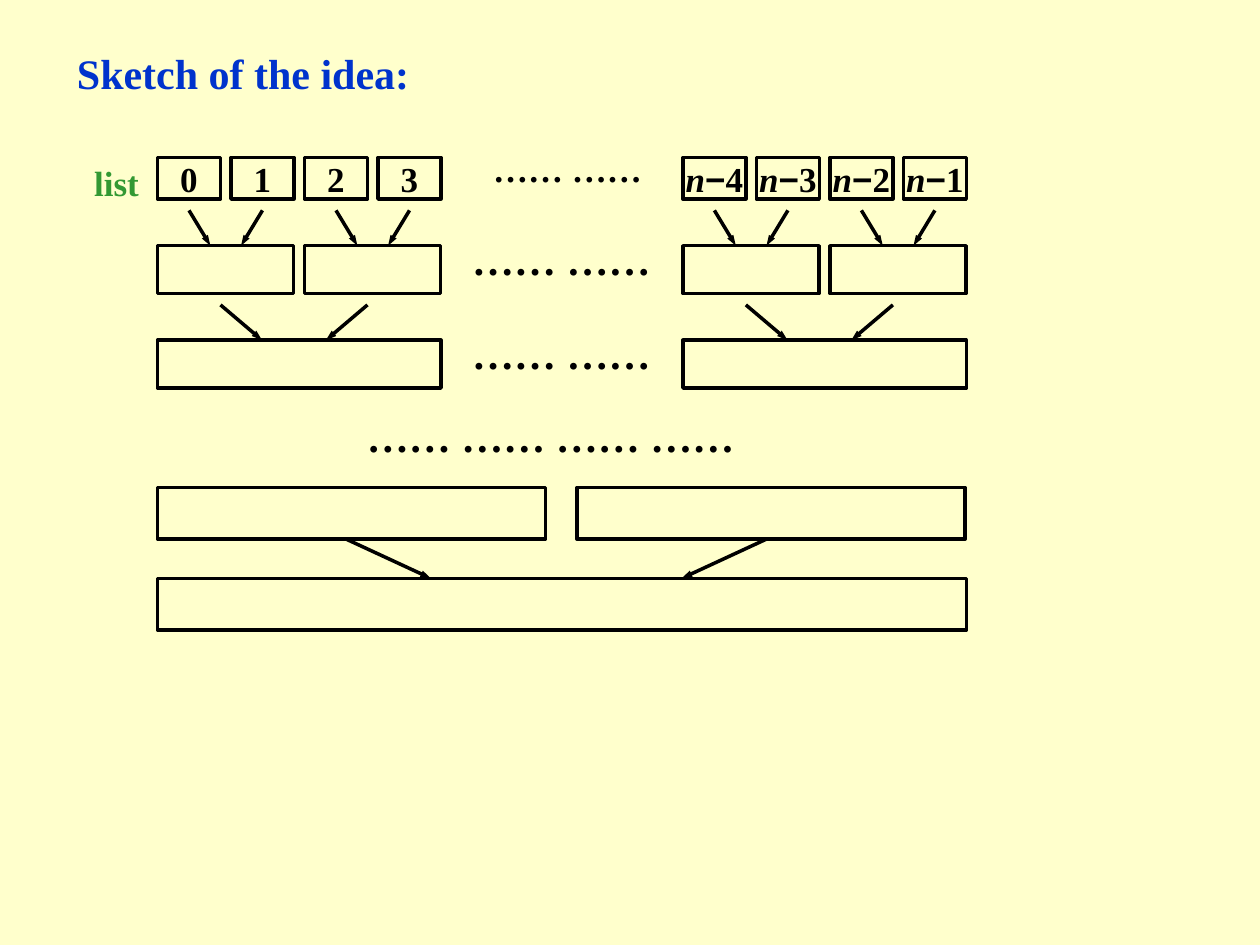
"""Build the merge sort sketch slide."""
from lxml import etree
from pptx import Presentation
from pptx import util as u
from pptx.dml.color import RGBColor
from pptx.enum import shapes, text
from pptx.oxml.ns import qn

BLACK, BLUE, GREEN, CREAM = "000000", "0033CC", "339933", "FFFFCC"
SERIF, SANS = "Times New Roman", "Arial"
LEFT, RIGHT, STEP = 1.25, 5.42, 7 / 12
DOTS = "…… ……"


def rgb(value):
    """Return the colour of a hex string."""
    return RGBColor.from_string(value)


def inches(*values):
    """Convert numbers to lengths in inches."""
    return [u.Inches(v) for v in values]


def set_attrs(obj, values):
    """Set the attributes of an object from a dict."""
    for name, value in values.items():
        setattr(obj, name, value)


def write(sp, runs, size=20, color=BLACK, wrap=False,
          anchor=text.MSO_ANCHOR.MIDDLE):
    """Write centred bold runs, each a tuple of text, font and italic."""
    tf = sp.text_frame
    set_attrs(tf, {"margin_left": 0, "margin_right": 0,
                   "margin_top": u.Inches(0.05),
                   "margin_bottom": u.Inches(0.05),
                   "word_wrap": wrap, "vertical_anchor": anchor,
                   "auto_size": text.MSO_AUTO_SIZE.NONE})
    p = tf.paragraphs[0]
    p.alignment = text.PP_ALIGN.CENTER
    for words, name, italic in runs:
        r = p.add_run()
        r.text = words
        set_attrs(r.font, {"name": name, "size": u.Pt(size),
                           "bold": True, "italic": italic})
        r.font.color.rgb = rgb(color)


def add_title(s, words):
    """Fill and place the title placeholder."""
    sp = s.shapes.title
    places = inches(0.61, 0.33, 2.64, 0.5)
    set_attrs(sp, dict(zip(("left", "top", "width", "height"), places)))
    write(sp, [(words, SERIF, False)], 24, BLUE, True, text.MSO_ANCHOR.TOP)


def add_label(s, words, x, y, w, h, size=24, color=BLACK):
    """Add a text label."""
    sp = s.shapes.add_textbox(*inches(x, y, w, h))
    write(sp, [(words, SERIF, False)], size, color)


def add_box(s, x, y, w, h, runs=()):
    """Add an outlined box with optional text."""
    sp = s.shapes.add_shape(shapes.MSO_SHAPE.RECTANGLE, *inches(x, y, w, h))
    sp.shadow.inherit = False
    sp.fill.background()
    sp.line.color.rgb = rgb(BLACK)
    sp.line.width = u.Pt(2)
    if runs:
        write(sp, runs)


def add_arrow(s, x1, y1, x2, y2):
    """Add an arrow from one point to another."""
    sp = s.shapes.add_connector(shapes.MSO_CONNECTOR.STRAIGHT,
                                *inches(x1, y1, x2, y2))
    sp.line.color.rgb = rgb(BLACK)
    sp.line.width = u.Pt(2)
    etree.SubElement(sp.line._get_or_add_ln(), qn("a:tailEnd"),
                     type="triangle", w="sm", len="med")
    etree.SubElement(sp._element.spPr, qn("a:effectLst"))


def add_merge(s, x1, x2, y1, y2, shift):
    """Add two arrows that lean towards each other."""
    add_arrow(s, x1, y1, x1 + shift, y2)
    add_arrow(s, x2, y1, x2 - shift, y2)


def add_half(s, x, cells):
    """Add four list cells and the boxes they merge into."""
    for i, runs in enumerate(cells):
        add_box(s, x + i * STEP, 1.25, 0.5, 0.33, runs)
    for pair in (x, x + 2 * STEP):
        add_box(s, pair, 1.95, 1.08, 0.38)
        add_merge(s, pair + 0.25, pair + 0.25 + STEP, 1.67, 1.95, 0.17)
    add_box(s, x, 2.7, 2.25, 0.38)
    add_merge(s, x + 0.5, x + 0.5 + 2 * STEP, 2.42, 2.7, 0.33)


def add_final_merge(s):
    """Add the last two halves and the sorted list."""
    for x in (LEFT, 4.58):
        add_box(s, x, 3.87, 3.08, 0.41)
    add_box(s, LEFT, 4.59, 6.42, 0.41)
    add_merge(s, 2.75, 6.08, 4.28, 4.59, 0.67)


def main():
    """Build and save the slide."""
    prs = Presentation()
    prs.slide_width, prs.slide_height = inches(10, 7.5)
    s = prs.slides.add_slide(prs.slide_layouts[5])
    s.background.fill.solid()
    s.background.fill.fore_color.rgb = rgb(CREAM)

    add_title(s, "Sketch of the idea:")
    add_label(s, "list", 0.67, 1.25, 0.51, 0.39, 20, GREEN)
    add_half(s, LEFT, [[(str(i), SERIF, False)] for i in range(4)])
    add_half(s, RIGHT, [[("n", SERIF, True), ("−", SANS, False),
                         (str(i), SERIF, False)] for i in (4, 3, 2, 1)])
    add_label(s, DOTS, 3.67, 1.17, 1.67, 0.33, 20)
    for y in (1.86, 2.61):
        add_label(s, DOTS, 3.58, y, 1.75, 0.38)
    add_label(s, f"{DOTS} {DOTS}", 2.08, 3.25, 4.58, 0.41)
    add_final_merge(s)
    prs.save("out.pptx")


if __name__ == "__main__":
    main()
